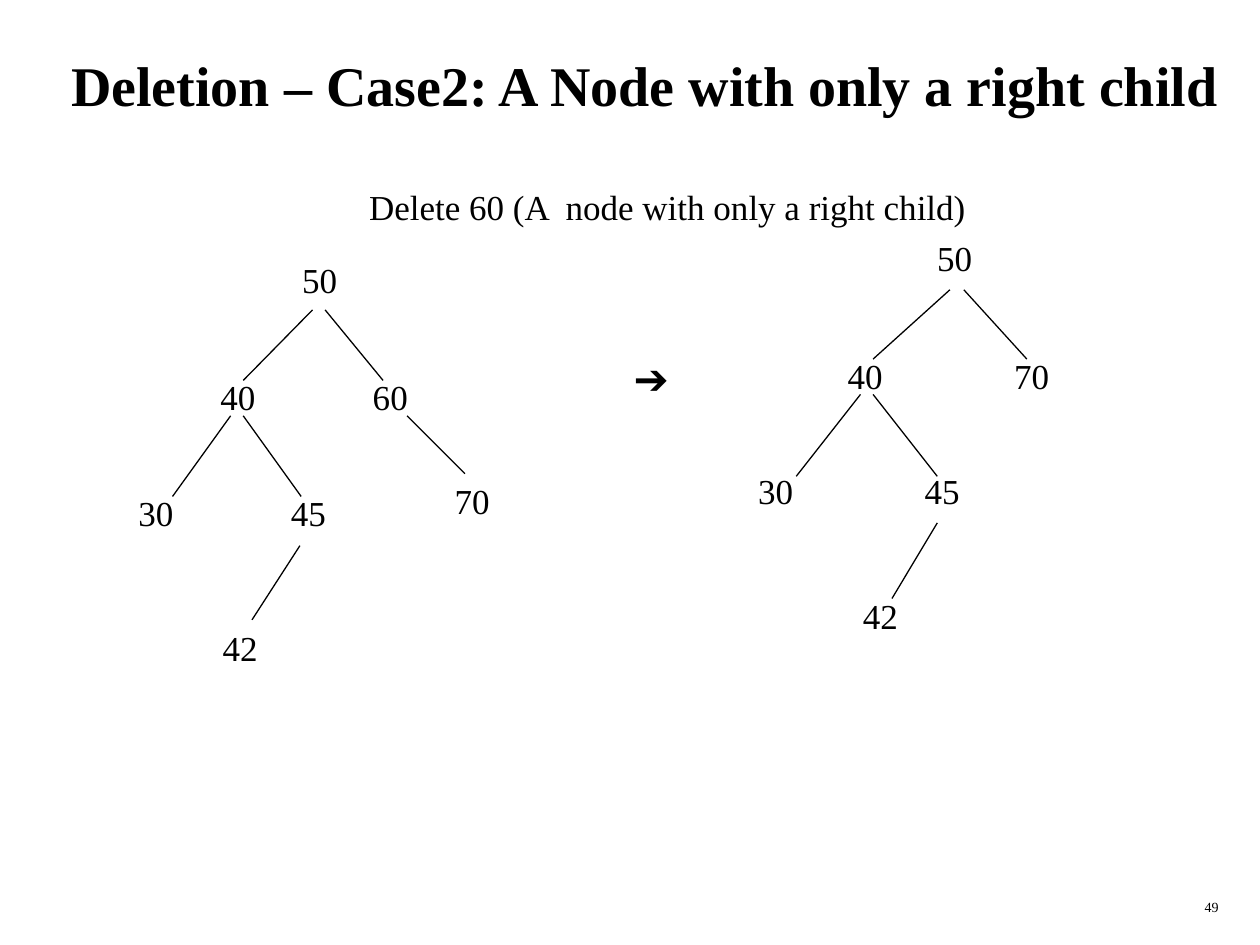
import pptx
import pptx.util
import pptx.dml.color
import pptx.enum.shapes
import pptx.enum.text
import lxml.etree

Pt = pptx.util.Pt
ALIGN = pptx.enum.text.PP_ALIGN
ANCHOR = pptx.enum.text.MSO_ANCHOR
COLORS = {"ink": "000000", "paper": "FFFFFF"}
SERIF = "Times New Roman"
NODE_SIZE = (34.6, 31.7)

BEFORE = {
    "nodes": [("50", 93.6, 0), ("40", 46.8, 67), ("60", 133.9, 67),
              ("30", 0, 133.2), ("45", 87.1, 133.2), ("70", 180.7, 126.7),
              ("42", 48.2, 210.2)],
    "branches": [(106.6, 33.1, 67, 73.4), (113.8, 33.1, 146.9, 73.4),
                 (160.6, 93.6, 193.7, 126.7), (67, 93.6, 100.1, 139.7),
                 (59.8, 93.6, 26.6, 139.7), (99.4, 167.8, 72, 210.2)],
}
AFTER = {
    "nodes": [("50", 102.2, 0), ("40", 51.1, 67), ("70", 146.2, 67),
              ("30", 0, 133.2), ("45", 95, 133.2), ("42", 59.8, 204.5)],
    "branches": [(116.6, 33.8, 72.7, 73.4), (124.6, 33.8, 160.6, 73.4),
                 (72.7, 93.6, 109.4, 140.4), (65.5, 93.6, 28.8, 140.4),
                 (109.4, 167, 83.5, 210.2)],
}


def ink():
    return pptx.dml.color.RGBColor.from_string(COLORS["ink"])


def add_label(slide, box, wording, size, font=SERIF, bold=False,
              align=ALIGN.LEFT, anchor=ANCHOR.TOP, wrap=False):
    label = slide.shapes.add_textbox(*map(Pt, box))
    frame = label.text_frame
    frame.text = wording
    frame.word_wrap = wrap
    frame.vertical_anchor = anchor
    paragraph = frame.paragraphs[0]
    paragraph.alignment = align
    run_font = paragraph.runs[0].font
    run_font.name = font
    run_font.size = Pt(size)
    run_font.bold = bold
    run_font.color.rgb = ink()


def add_branch(slide, start_x, start_y, end_x, end_y):
    branch = slide.shapes.add_connector(
        pptx.enum.shapes.MSO_CONNECTOR.STRAIGHT,
        Pt(start_x), Pt(start_y), Pt(end_x), Pt(end_y))
    branch.line.color.rgb = ink()
    branch.line.width = Pt(0.74)
    lxml.etree.SubElement(branch._element.spPr,
                          pptx.oxml.ns.qn("a:effectLst"))


def add_tree(slide, left, top, tree):
    for x1, y1, x2, y2 in tree["branches"]:
        add_branch(slide, left + x1, top + y1, left + x2, top + y2)
    for key, x, y in tree["nodes"]:
        add_label(slide, (left + x, top + y, *NODE_SIZE), key, 20)


def add_heading(slide, left, top, width):
    add_label(slide, (left, top, width, 72),
              "Deletion \u2013 Case2: A Node with only a right child", 32,
              bold=True, align=ALIGN.CENTER, anchor=ANCHOR.MIDDLE, wrap=True)
    add_label(slide, (left + 175.7, top + 90, 356.4, 31.7),
              "Delete 60 (A  node with only a right child)", 20)


def add_deletion_slide(deck):
    slide = deck.slides.add_slide(deck.slide_layouts[6])
    fill = slide.background.fill
    fill.solid()
    fill.fore_color.rgb = pptx.dml.color.RGBColor.from_string(COLORS["paper"])
    add_heading(slide, 28.1, 12.2, 681.1)
    add_tree(slide, 72, 144, BEFORE)
    add_label(slide, (355, 198, 38.2, 36), "\u2794", 24, font="Arial")
    add_tree(slide, 426.2, 131.8, AFTER)
    add_label(slide, (553.7, 509.8, 149.8, 18), "49", 8,
              align=ALIGN.RIGHT, wrap=True)


deck = pptx.Presentation()
deck.slide_width = Pt(720)
deck.slide_height = Pt(540)
add_deletion_slide(deck)
deck.save("out.pptx")
